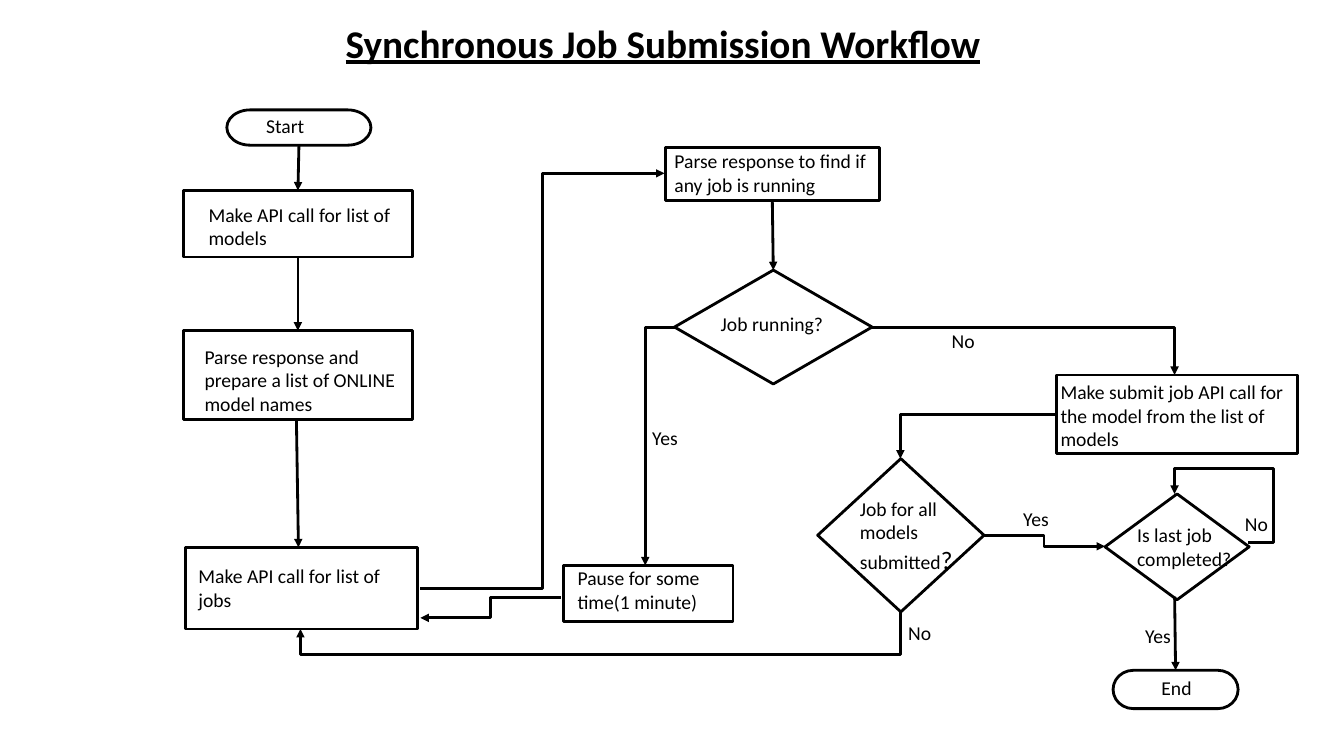
from lxml import etree
from pptx import Presentation
from pptx import util as u
from pptx.dml.color import RGBColor
from pptx.enum import shapes, text
from pptx.oxml import ns

COLOURS = {"ink": "000000"}
FONT = "Calibri"
LINE_WIDTH = u.Pt(2)

RECTANGLE = shapes.MSO_SHAPE.RECTANGLE
DIAMOND = shapes.MSO_SHAPE.DIAMOND
TERMINATOR = shapes.MSO_SHAPE.FLOWCHART_TERMINATOR
TOP, BOTTOM = 0, 2


def colour(name):
    return RGBColor.from_string(COLOURS[name])


def add_node(slide, kind, left, top, width, height):
    """Outlined flowchart shape."""
    shape = slide.shapes.add_shape(
        kind, u.Inches(left), u.Inches(top), u.Inches(width), u.Inches(height))
    shape.shadow.inherit = False
    shape.fill.background()
    shape.line.color.rgb = colour("ink")
    shape.line.width = LINE_WIDTH
    return shape


def add_text(slide, words, left, top, width, height=0.34, *, size=14,
             bold=False, underline=False, wrap=True, large_end=""):
    """Text box; large_end is a closing run in 18 points."""
    box = slide.shapes.add_textbox(
        u.Inches(left), u.Inches(top), u.Inches(width), u.Inches(height))
    frame = box.text_frame
    frame.word_wrap = wrap
    frame.auto_size = text.MSO_AUTO_SIZE.SHAPE_TO_FIT_TEXT
    paragraph = frame.paragraphs[0]
    for part, points in ((words, size), (large_end, 18)):
        if part:
            run = paragraph.add_run()
            run.text = part
            run.font.name = FONT
            run.font.size = u.Pt(points)
            run.font.bold = bold
            run.font.underline = underline
            run.font.color.rgb = colour("ink")


def add_arrow(slide, kind, start, end):
    """Connector with a triangle at its end."""
    arrow = slide.shapes.add_connector(
        kind, *(u.Inches(value) for value in (*start, *end)))
    arrow.line.color.rgb = colour("ink")
    arrow.line.width = LINE_WIDTH
    etree.SubElement(arrow.line._get_or_add_ln(), ns.qn("a:tailEnd"), type="triangle")
    etree.SubElement(arrow._element.spPr, ns.qn("a:effectLst"))
    return arrow


def add_straight(slide, start, end, source=None, target=None):
    """Vertical arrow, joined to the bottom of source and the top of target."""
    arrow = add_arrow(slide, shapes.MSO_CONNECTOR.STRAIGHT, start, end)
    if source is not None:
        arrow.begin_connect(source, BOTTOM)
    if target is not None:
        arrow.end_connect(target, TOP)


def add_elbow(slide, start, end, segments=3, adjustments=(), quarter_turn=False):
    """Bent arrow; a quarter turn makes it leave downwards."""
    if quarter_turn:
        middle_x, middle_y = ((a + b) / 2 for a, b in zip(start, end))
        start, end = (
            (middle_x + y - middle_y, middle_y - x + middle_x)
            for x, y in (start, end))
    arrow = add_arrow(slide, shapes.MSO_CONNECTOR.ELBOW, start, end)
    properties = arrow._element.spPr
    if quarter_turn:
        properties.find(ns.qn("a:xfrm")).set("rot", str(90 * 60000))
    geometry = properties.find(ns.qn("a:prstGeom"))
    geometry.set("prst", f"bentConnector{segments}")
    guides = geometry.find(ns.qn("a:avLst"))
    for number, ratio in enumerate(adjustments, 1):
        etree.SubElement(guides, ns.qn("a:gd"), name=f"adj{number}",
                         fmla=f"val {round(ratio * 100000)}")


def main():
    presentation = Presentation()
    presentation.slide_width = u.Inches(13.33)
    presentation.slide_height = u.Inches(7.5)
    slide = presentation.slides.add_slide(presentation.slide_layouts[6])

    # Title
    add_text(slide, "Synchronous Job Submission Workflow", 3.33, 0.14, 6.56, 0.57,
             size=28, bold=True, underline=True, wrap=False)

    # Steps and decisions
    start = add_node(slide, TERMINATOR, 2.25, 1.09, 1.43, 0.35)
    list_models = add_node(slide, RECTANGLE, 1.82, 1.89, 2.27, 0.66)
    parse_models = add_node(slide, RECTANGLE, 1.82, 3.28, 2.27, 0.88)
    add_node(slide, RECTANGLE, 1.84, 5.43, 2.3, 0.81)
    parse_jobs = add_node(slide, RECTANGLE, 6.6, 1.46, 2.12, 0.53)
    job_running = add_node(slide, DIAMOND, 6.69, 2.68, 1.96, 1.13)
    add_node(slide, RECTANGLE, 5.59, 5.61, 1.68, 0.56)
    add_node(slide, RECTANGLE, 10.48, 3.72, 2.39, 0.78)
    add_node(slide, DIAMOND, 8.11, 4.55, 1.65, 1.52)
    add_node(slide, DIAMOND, 10.96, 4.9, 1.43, 1.05)
    end = add_node(slide, TERMINATOR, 11.04, 6.65, 1.24, 0.38)

    # Wording of the steps
    for words, *place in (
        ("Start", 2.54, 1.08, 0.98),
        ("Make API call for list of models", 1.97, 1.96, 2.12, 0.57),
        ("Parse response and prepare a list of ONLINE model names",
         1.93, 3.37, 2.12, 0.81),
        ("Make API call for list of jobs", 1.87, 5.55, 2.3, 0.57),
        ("Parse response to find if any job is running", 6.59, 1.43, 2.25, 0.57),
        ("Job running?", 7.05, 3.05, 1.68),
        ("Pause for some time(1 minute)", 5.63, 5.57, 1.84, 0.57),
        ("Make submit job API call for the model from the list of models",
         10.42, 3.72, 2.45, 0.81),
        ("Is last job completed?", 11.18, 5.14, 1.23, 0.57),
        ("End", 11.42, 6.66, 0.98),
    ):
        add_text(slide, words, *place)
    add_text(slide, "Job for all models submitted", 8.43, 4.88, 1.13, 0.88,
             large_end="?")

    # Straight arrows
    add_straight(slide, (2.96, 1.44), (2.96, 1.89), start, list_models)
    add_straight(slide, (2.96, 2.55), (2.96, 3.28), list_models, parse_models)
    add_straight(slide, (2.94, 4.16), (2.96, 5.43))
    add_straight(slide, (7.66, 1.98), (7.68, 2.67), parse_jobs, job_running)
    add_straight(slide, (11.65, 5.92), (11.65, 6.66), target=end)

    # Bent arrows
    add_elbow(slide, (4.17, 5.84), (6.59, 1.72))
    add_elbow(slide, (5.56, 5.93), (4.17, 6.13))
    add_elbow(slide, (9.75, 5.31), (10.96, 5.42))
    add_elbow(slide, (6.69, 3.25), (6.4, 5.61), segments=2)
    add_elbow(slide, (8.65, 3.25), (11.65, 3.72), segments=2)
    add_elbow(slide, (10.48, 4.11), (8.93, 4.55), segments=2)
    add_elbow(slide, (8.93, 6.07), (2.98, 6.24), adjustments=[2.51],
              quarter_turn=True)
    add_elbow(slide, (12.38, 5.38), (11.65, 4.9), segments=4,
              adjustments=[-0.34, 1.52])

    # Branch labels
    for left, top, width in ((6.37, 4.18, 0.56), (10.05, 4.98, 0.65),
                             (11.26, 6.14, 0.65)):
        add_text(slide, "Yes", left, top, width)
    for left, top in ((9.34, 3.21), (8.91, 6.11), (12.25, 5.03)):
        add_text(slide, "No", left, top, 0.43, wrap=False)

    presentation.save("out.pptx")


if __name__ == "__main__":
    main()
